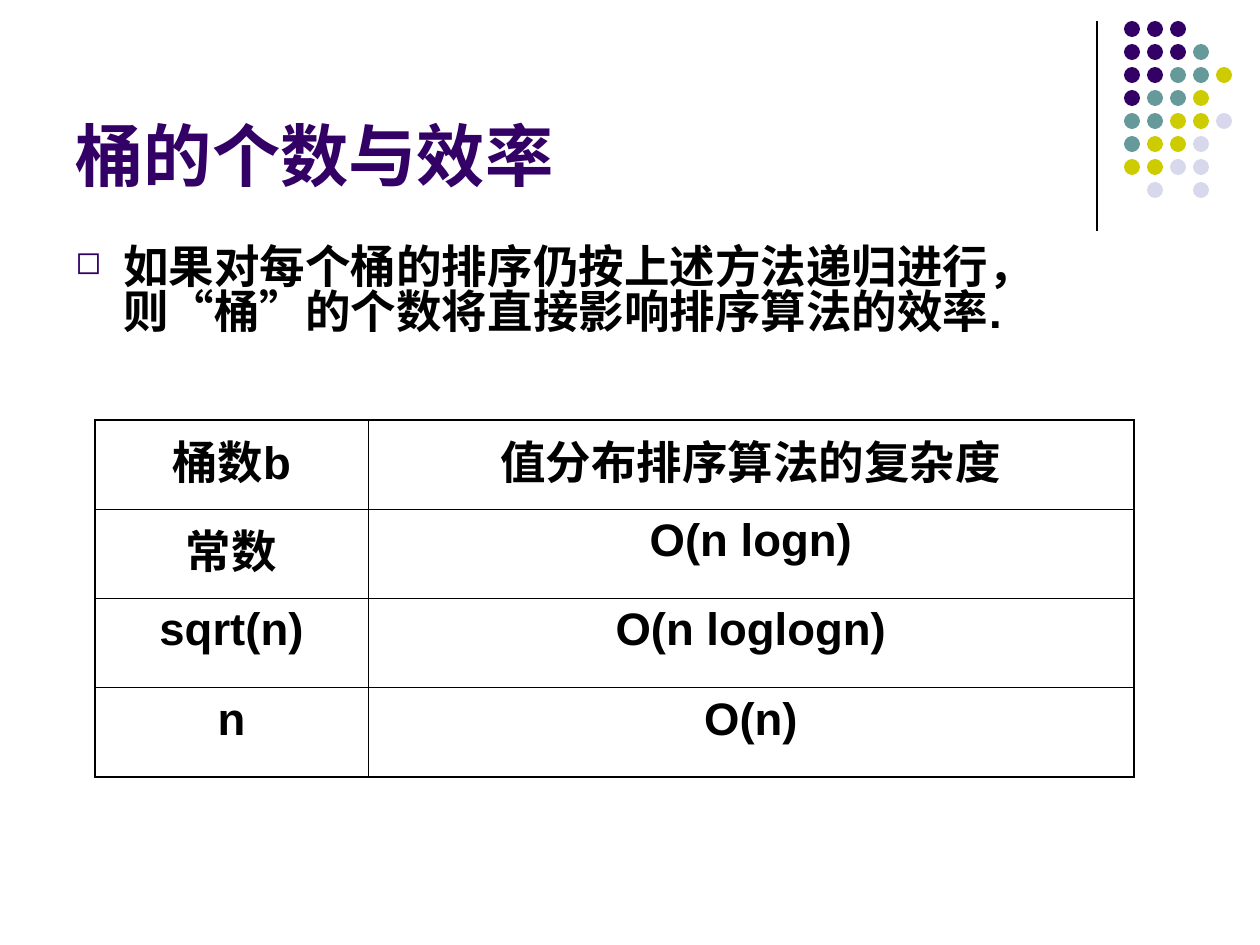
from dataclasses import dataclass

from lxml.etree import SubElement
from pptx import Presentation
from pptx.dml.color import RGBColor
from pptx.enum.lang import MSO_LANGUAGE_ID as Lang
from pptx.enum.shapes import MSO_CONNECTOR as Connector, MSO_SHAPE as Shape
from pptx.enum.text import MSO_ANCHOR as Anchor, PP_ALIGN as Align
from pptx.oxml.ns import qn
from pptx.util import Pt

EMU_PER_PX = 914400 / 126


@dataclass(frozen=True)
class Theme:
    """Colours, type sizes and line widths of the slide."""
    font: str = "Arial"
    purple: str = "330066"
    teal: str = "669999"
    lime: str = "CCCC00"
    lilac: str = "D8D8EC"
    ink: str = "000000"
    title: int = 39
    body: int = 26
    rule: float = 0.75
    outer: float = 1.08
    inner: float = 0.45


THEME = Theme()
DOT_COLOURS = {"P": THEME.purple, "T": THEME.teal, "L": THEME.lime, "V": THEME.lilac}
DOT_ROWS = ["PPP", "PPPT", "PPTTL", "PTTL", "TTLLV", "TLLV", "LLVV", " V V"]
COMPLEXITY = [
    ("桶数b", "值分布排序算法的复杂度"),
    ("常数", "O(n logn)"),
    ("sqrt(n)", "O(n loglogn)"),
    ("n", "O(n)"),
]


def px(*lengths):
    return [round(length * EMU_PER_PX) for length in lengths]


def assign(target, values):
    for name, value in values.items():
        setattr(target, name, value)


def write(paragraph, wording, size, colour):
    run = paragraph.add_run()
    run.text = wording
    assign(run.font, {"name": THEME.font, "size": Pt(size), "bold": True,
                      "language_id": Lang.SIMPLIFIED_CHINESE})
    run.font.color.rgb = RGBColor.from_string(colour)


def add_bullet(paragraph, mark, colour, percent, indent):
    properties = paragraph._p.get_or_add_pPr()
    properties.set("marL", str(indent))
    properties.set("indent", str(-indent))
    bullet_colour = SubElement(properties, qn("a:buClr"))
    SubElement(bullet_colour, qn("a:srgbClr"), val=colour)
    SubElement(properties, qn("a:buSzPct"), val=str(percent * 1000))
    SubElement(properties, qn("a:buChar"), char=mark)


def add_title(slide, wording):
    title = slide.shapes.title
    left, top, width, height = px(63, 16, 1040, 179)
    assign(title, {"left": left, "top": top, "width": width, "height": height})
    assign(title.text_frame, {"vertical_anchor": Anchor.BOTTOM, "margin_bottom": 0,
                              "word_wrap": True})
    heading = title.text_frame.paragraphs[0]
    heading.alignment = Align.LEFT
    write(heading, wording, THEME.title, THEME.purple)


def add_point(slide, wording):
    frame = slide.shapes.add_textbox(*px(63, 237, 1134, 607)).text_frame
    margin_top, margin_right, indent = px(10, 137, 48)
    assign(frame, {"word_wrap": True, "margin_top": margin_top,
                   "margin_right": margin_right})
    point = frame.paragraphs[0]
    add_bullet(point, "◻", THEME.purple, 70, indent)
    point.line_spacing = 0.83
    write(point, wording, THEME.body, THEME.ink)


def add_rule(slide):
    rule = slide.shapes.add_connector(Connector.STRAIGHT, *px(1097, 21, 1097, 231))
    rule.line.color.rgb = RGBColor.from_string(THEME.ink)
    rule.line.width = Pt(THEME.rule)
    SubElement(rule._element.spPr, qn("a:effectLst"))


def add_dots(slide, left, top, pitch, diameter):
    dots = slide.shapes.add_group_shape().shapes
    for row, codes in enumerate(DOT_ROWS):
        for column, code in enumerate(codes):
            if code in DOT_COLOURS:
                dot = dots.add_shape(Shape.OVAL, *px(
                    left + column * pitch, top + row * pitch, diameter, diameter))
                dot.shadow.inherit = False
                dot.fill.solid()
                dot.fill.fore_color.rgb = RGBColor.from_string(DOT_COLOURS[code])
                dot.line.fill.background()


def add_borders(cell, outer_sides):
    properties = cell._tc.get_or_add_tcPr()
    for side in "LRTB":
        width = THEME.outer if side in outer_sides else THEME.inner
        border = SubElement(properties, qn(f"a:ln{side}"), w=str(Pt(width)))
        paint = SubElement(border, qn("a:solidFill"))
        SubElement(paint, qn("a:srgbClr"), val=THEME.ink)


def add_complexity_table(slide):
    last_row, last_column = len(COMPLEXITY) - 1, len(COMPLEXITY[0]) - 1
    table = slide.shapes.add_table(
        last_row + 1, last_column + 1, *px(95, 420, 1039, 357)).table
    assign(table, {"first_row": False, "horz_banding": False})
    for column, width in zip(table.columns, px(273, 766)):
        column.width = width
    for r, entries in enumerate(COMPLEXITY):
        for c, entry in enumerate(entries):
            cell = table.cell(r, c)
            edges = {"L": c == 0, "R": c == last_column,
                     "T": r == 0, "B": r == last_row}
            add_borders(cell, [side for side, outer in edges.items() if outer])
            cell.fill.background()
            paragraph = cell.text_frame.paragraphs[0]
            paragraph.alignment = Align.CENTER
            write(paragraph, entry, THEME.body, THEME.ink)


def main():
    """Build the bucket-count slide and save it."""
    deck = Presentation()
    deck.slide_width, deck.slide_height = px(1260, 945)
    slide = deck.slides.add_slide(deck.slide_layouts[5])
    add_rule(slide)
    add_dots(slide, left=1124, top=21, pitch=23, diameter=16)
    add_title(slide, "桶的个数与效率")
    add_point(slide, "如果对每个桶的排序仍按上述方法递归进行，则“桶”的个数将直接影响排序算法的效率.")
    add_complexity_table(slide)
    deck.save("out.pptx")


if __name__ == "__main__":
    main()
